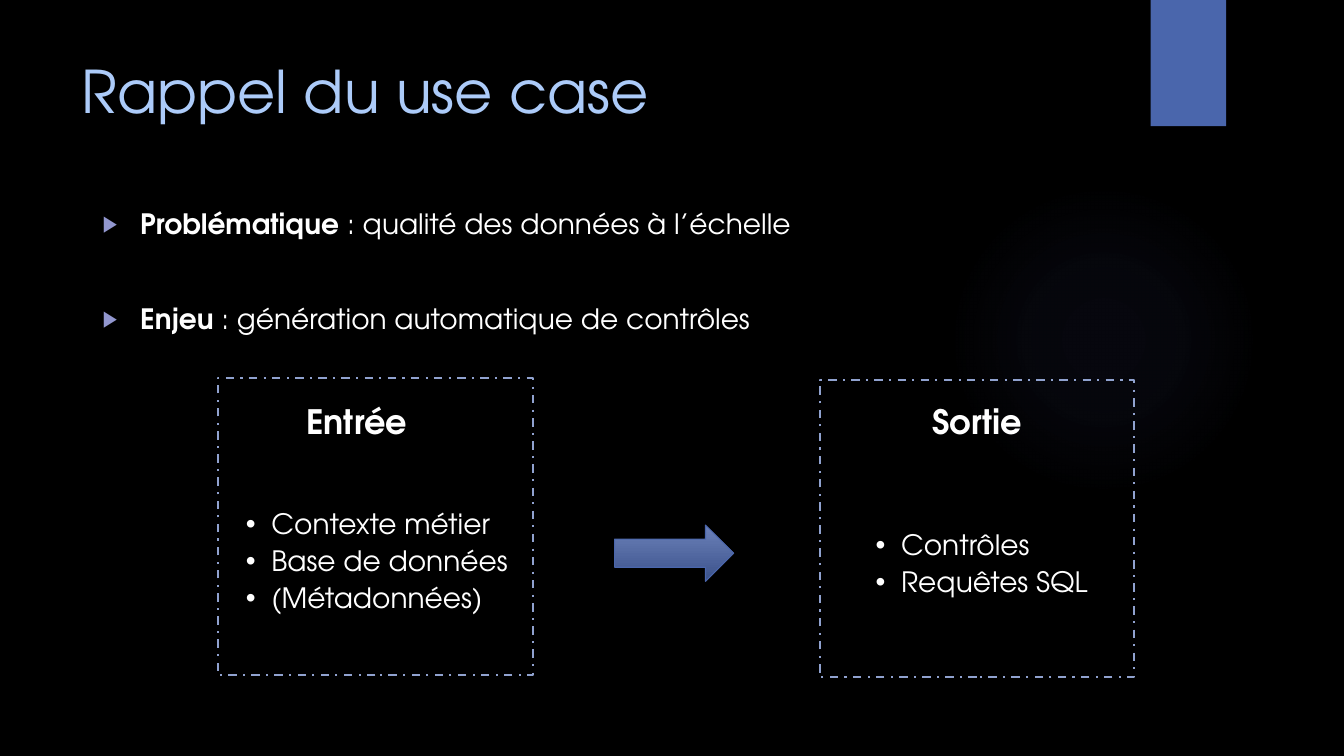
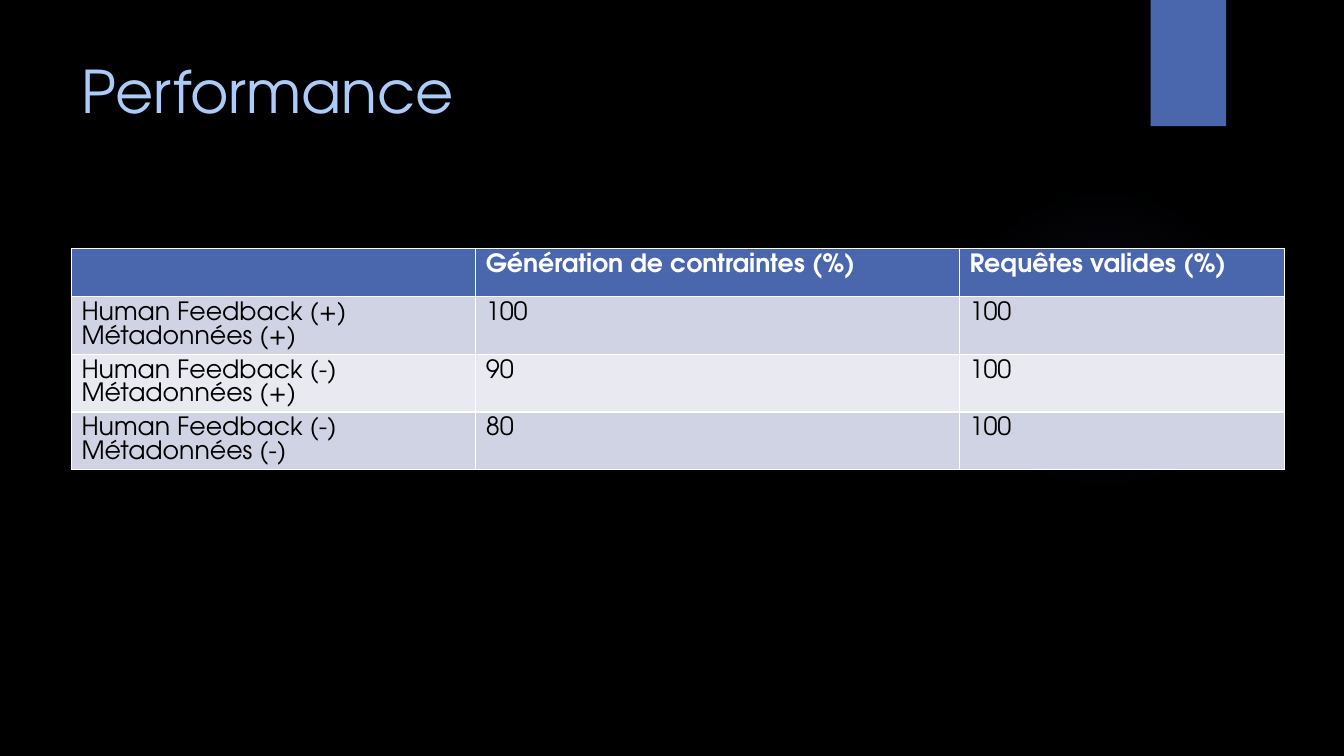
from dataclasses import dataclass

from pptx import Presentation
from pptx.dml.color import RGBColor
from pptx.enum.dml import MSO_LINE
from pptx.enum.shapes import MSO_SHAPE
from pptx.enum.text import MSO_ANCHOR, MSO_AUTO_SIZE, PP_ALIGN
from pptx.oxml import parse_xml
from pptx.oxml.ns import nsdecls, qn
from pptx.util import Cm, Pt

RECTANGLE = MSO_SHAPE.RECTANGLE
OVAL = MSO_SHAPE.OVAL
RIGHT_ARROW = MSO_SHAPE.RIGHT_ARROW
DASH_DOT = MSO_LINE.DASH_DOT
LEFT = PP_ALIGN.LEFT
TOP = MSO_ANCHOR.TOP
NO_AUTOFIT = MSO_AUTO_SIZE.NONE
TITLE_AND_CONTENT = 1
TITLE_ONLY = 5


@dataclass(frozen=True)
class Theme:
    font: str = "TeX Gyre Adventor"
    background: str = "000000"
    title: str = "ACCBF9"
    text: str = "FFFFFF"
    accent: str = "4A66AC"
    accent_light: str = "6C81BA"
    accent_dark: str = "3B528A"
    glow: str = "5C64B7"
    marker: str = "9297CF"
    frame: str = "90A2CF"
    cell_text: str = "000000"
    cell_bands: tuple = ("D0D3E3", "E9EAF1")
    title_size: int = 42
    heading_size: int = 24
    body_size: int = 20
    table_size: int = 18


THEME = Theme()


def color(value):
    return RGBColor.from_string(value)


def box(left, top, width, height):
    return Cm(left), Cm(top), Cm(width), Cm(height)


def place(shape, area):
    shape.left, shape.top, shape.width, shape.height = area


def add_run(paragraph, text, size, text_color=THEME.text, bold=False):
    run = paragraph.add_run()
    run.text = text
    run.font.name = THEME.font
    run.font.size = Pt(size)
    run.font.bold = bold
    run.font.color.rgb = color(text_color)


def prepare_frame(text_frame, wrap=True):
    text_frame.word_wrap = wrap
    text_frame.auto_size = NO_AUTOFIT
    text_frame.vertical_anchor = TOP


def paragraphs_for(text_frame, items):
    for index, item in enumerate(items):
        paragraph = text_frame.add_paragraph() if index else text_frame.paragraphs[0]
        paragraph.alignment = LEFT
        yield index, paragraph, item


def set_bullet(paragraph, character, indent, bullet_color, percent):
    properties = paragraph._p.get_or_add_pPr()
    properties.set("marL", str(Cm(indent)))
    properties.set("indent", str(-Cm(indent)))
    for content in (
        f'<a:buClr {nsdecls("a")}><a:srgbClr val="{bullet_color}"/></a:buClr>',
        f'<a:buSzPct {nsdecls("a")} val="{percent * 1000}"/>',
        f'<a:buFont {nsdecls("a")} typeface="Arial"/>',
        f'<a:buChar {nsdecls("a")} char="{character}"/>',
    ):
        properties.append(parse_xml(content))


def add_plain_shape(slide, kind, area):
    shape = slide.shapes.add_shape(kind, *area)
    shape.shadow.inherit = False
    shape.line.fill.background()
    return shape


def cast_shadow(shape):
    shape.element.spPr.find(qn("a:effectLst")).append(parse_xml(
        f'<a:outerShdw {nsdecls("a")} blurRad="{Pt(3)}" dist="{Pt(2)}" dir="5400000" '
        'rotWithShape="0"><a:srgbClr val="000000"><a:alpha val="45000"/></a:srgbClr>'
        '</a:outerShdw>'))


def fill_with_glow(shape):
    stops = "".join(
        f'<a:gs pos="{position * 1000}"><a:srgbClr val="{THEME.glow}">'
        f'<a:alpha val="{alpha * 1000}"/></a:srgbClr></a:gs>'
        for position, alpha in ((0, 7), (36, 6), (69, 0)))
    shape.fill.background()
    properties = shape.element.spPr
    properties.replace(properties.find(qn("a:noFill")), parse_xml(
        f'<a:gradFill {nsdecls("a")}><a:gsLst>{stops}</a:gsLst><a:path path="circle">'
        '<a:fillToRect l="50000" t="50000" r="50000" b="50000"/></a:path></a:gradFill>'))


def decorate_master(master, slide):
    fill = master.background.fill
    fill.solid()
    fill.fore_color.rgb = color(THEME.background)

    glow = add_plain_shape(slide, OVAL, box(23.9, 4.65, 7.82, 7.82))
    fill_with_glow(glow)
    corner_tab = add_plain_shape(slide, RECTANGLE, box(29, 0, 1.9, 3.18))
    corner_tab.fill.solid()
    corner_tab.fill.fore_color.rgb = color(THEME.accent)
    cast_shadow(corner_tab)

    for position, shape in enumerate((glow, corner_tab), start=2):
        master.element.cSld.spTree.insert(position, shape.element)


def add_titled_slide(presentation, layout, title):
    slide = presentation.slides.add_slide(presentation.slide_layouts[layout])
    shape = slide.shapes.title
    place(shape, box(1.8, 1.25, 26.14, 3.89))
    prepare_frame(shape.text_frame)
    paragraph = shape.text_frame.paragraphs[0]
    paragraph.alignment = LEFT
    add_run(paragraph, title, THEME.title_size, THEME.title)
    return slide


def fill_statements(placeholder, area, statements):
    place(placeholder, area)
    prepare_frame(placeholder.text_frame)
    for index, paragraph, (term, description) in paragraphs_for(
            placeholder.text_frame, statements):
        paragraph.space_before = Pt(44 if index else 0)
        add_run(paragraph, term, THEME.body_size, bold=True)
        add_run(paragraph, description, THEME.body_size)
        set_bullet(paragraph, "▶", 0.95, THEME.marker, 80)


def add_panel(slide, area, heading, heading_offset, items, list_offset):
    left, top, width, height = area
    frame = add_plain_shape(slide, RECTANGLE, area)
    frame.fill.background()
    frame.line.color.rgb = color(THEME.frame)
    frame.line.width = Pt(1.5)
    frame.line.dash_style = DASH_DOT

    across, down = map(Cm, heading_offset)
    heading_box = slide.shapes.add_textbox(left + across, top + down, Cm(3.15), Cm(1.27))
    prepare_frame(heading_box.text_frame, wrap=False)
    add_run(heading_box.text_frame.paragraphs[0], heading, THEME.heading_size, bold=True)

    across, down = map(Cm, list_offset)
    list_box = slide.shapes.add_textbox(
        left + across, top + down, width - across, height - down)
    prepare_frame(list_box.text_frame)
    for index, paragraph, item in paragraphs_for(list_box.text_frame, items):
        paragraph.line_spacing = 0.9
        paragraph.space_before = Pt(5 if index else 0)
        add_run(paragraph, item, THEME.body_size)
        set_bullet(paragraph, "•", 0.64, THEME.text, 100)


def add_flow_arrow(slide, area):
    arrow = add_plain_shape(slide, RIGHT_ARROW, area)
    arrow.fill.gradient()
    arrow.fill.gradient_angle = 270
    stops = arrow.fill.gradient_stops
    for stop, position, value in zip(
            stops, (0, 1), (THEME.accent_light, THEME.accent_dark)):
        stop.position = position
        stop.color.rgb = color(value)
    arrow.line.color.rgb = color(THEME.accent)
    arrow.line.width = Pt(0.75)
    cast_shadow(arrow)


def add_results_table(slide, area, column_widths, row_heights, rows):
    table = slide.shapes.add_table(len(rows), len(column_widths), *area).table
    for column, width in zip(table.columns, column_widths):
        column.width = Cm(width)
    for row, height in zip(table.rows, row_heights):
        row.height = Cm(height)

    for row_index, values in enumerate(rows):
        header = row_index == 0
        fill = THEME.accent if header else THEME.cell_bands[(row_index - 1) % 2]
        text_color = THEME.text if header else THEME.cell_text
        for column_index, value in enumerate(values):
            cell = table.cell(row_index, column_index)
            cell.fill.solid()
            cell.fill.fore_color.rgb = color(fill)
            lines = value.split("\n") if value else []
            for _, paragraph, line in paragraphs_for(cell.text_frame, lines):
                add_run(paragraph, line, THEME.table_size, text_color, bold=header)


def build_use_case(presentation):
    slide = add_titled_slide(presentation, TITLE_AND_CONTENT, "Rappel du use case")
    fill_statements(slide.placeholders[1], box(2.33, 5.08, 29.21, 4.78), (
        ("Problématique", " : qualité des données à l’échelle"),
        ("Enjeu", " : génération automatique de contrôles"),
    ))
    add_panel(slide, box(5.49, 9.53, 7.94, 7.49), "Entrée", (1.98, 0.46),
              ("Contexte métier", "Base de données", "(Métadonnées)"), (0.46, 3.2))
    add_flow_arrow(slide, box(15.49, 13.23, 3, 1.42))
    add_panel(slide, box(20.66, 9.58, 7.92, 7.49), "Sortie", (2.58, 0.41),
              ("Contrôles", "Requêtes SQL"), (1.16, 3.69))
    return slide


def build_performance(presentation):
    slide = add_titled_slide(presentation, TITLE_ONLY, "Performance")
    add_results_table(
        slide, box(1.8, 6.26, 30.58, 5.57), (10.19, 12.19, 8.2), (1.22, 1.45, 1.45, 1.45), (
            ("", "Génération de contraintes (%)", "Requêtes valides (%)"),
            ("Human Feedback (+) Métadonnées (+)", "100", "100"),
            ("Human Feedback (-)\nMétadonnées (+)", "90", "100"),
            ("Human Feedback (-)\nMétadonnées (-)", "80", "100"),
        ))


def main():
    presentation = Presentation()
    presentation.slide_width = Cm(33.87)
    presentation.slide_height = Cm(19.05)
    use_case = build_use_case(presentation)
    decorate_master(presentation.slide_master, use_case)
    build_performance(presentation)
    presentation.save("out.pptx")


if __name__ == "__main__":
    main()
